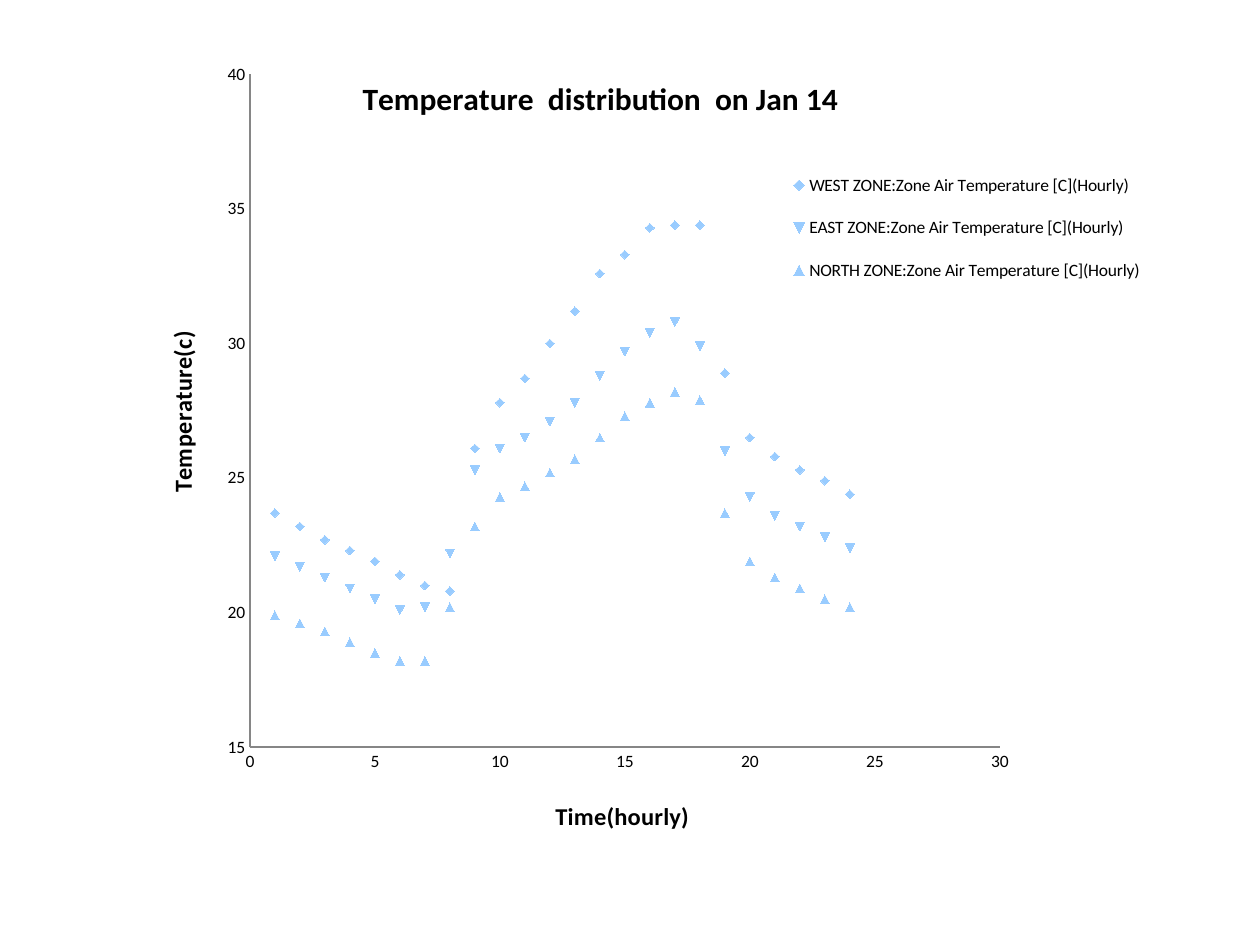
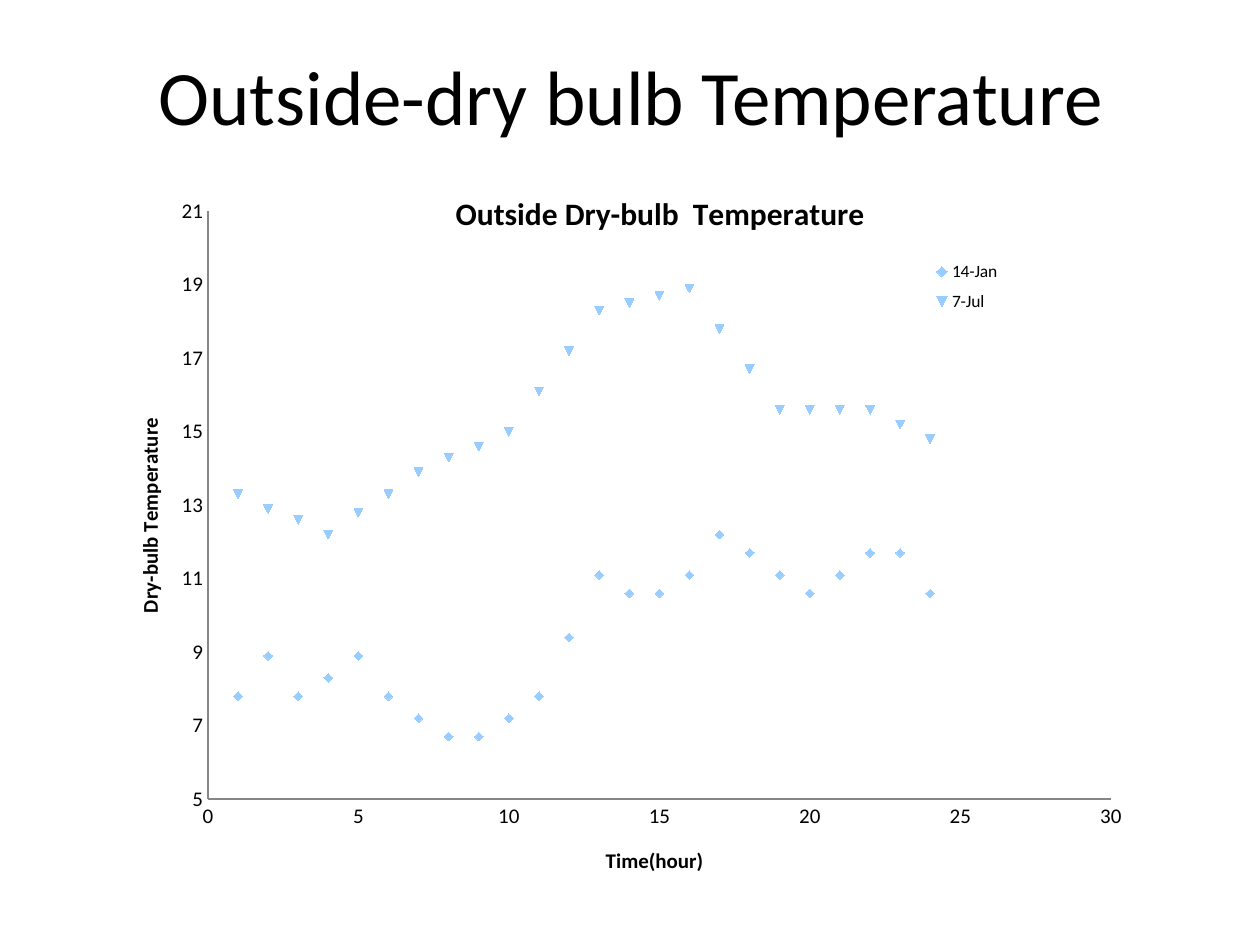
"""Two slides of hourly temperature scatter charts."""
from dataclasses import dataclass

from lxml.etree import SubElement
from pptx import Presentation
from pptx.chart.axis import ValueAxis
from pptx.chart.data import XyChartData
from pptx.dml.color import RGBColor
from pptx.enum.chart import XL_CHART_TYPE, XL_LEGEND_POSITION, XL_TICK_MARK
from pptx.enum.text import MSO_ANCHOR, PP_ALIGN
from pptx.oxml.ns import qn
from pptx.slide import Slide
from pptx.util import Emu, Pt


@dataclass(frozen=True)
class Theme:
    """Colours, font and type sizes in points."""
    font: str = "Calibri"
    ink: RGBColor = RGBColor(0, 0, 0)
    axis: RGBColor = RGBColor(0x86, 0x86, 0x86)
    mark: RGBColor = RGBColor(0x99, 0xCC, 0xFF)
    head: int = 44
    title: int = 18
    base: int = 10


@dataclass(frozen=True)
class Box:
    """A place on the slide, in pixels."""
    x: int
    y: int
    w: int = 0
    h: int = 0

    def emu(self) -> tuple[Emu, ...]:
        """Give left, top, width and height as EMU."""
        return tuple(Emu(round(n * SCALE)) for n in (self.x, self.y, self.w, self.h))


@dataclass(frozen=True)
class Label:
    """A heading inside a chart, with its top left corner."""
    text: str
    size: int
    at: Box


@dataclass(frozen=True)
class Scale:
    """One axis: its range, step, tick text size and heading."""
    low: int
    high: int
    step: int
    size: int
    label: Label


@dataclass(frozen=True)
class Plot:
    """One scatter chart with hourly values per series."""
    at: Box
    inner: Box
    key: Box
    title: Label
    hours: Scale
    temps: Scale
    rows: dict[str, list[float]]


SCALE = 914400 / 126
THEME = Theme()

ZONES = Plot(
    at=Box(33, 39, 1123, 800),
    inner=Box(250, 75, 750, 682),
    key=Box(789, 154, 356, 153),
    title=Label("Temperature  distribution  on Jan 14", THEME.title, Box(357, 72)),
    hours=Scale(0, 30, 5, 10, Label("Time(hourly)", 14, Box(551, 805))),
    temps=Scale(15, 40, 5, 10, Label("Temperature(c)", 14, Box(161, 333))),
    rows={
        "WEST ZONE:Zone Air Temperature [C](Hourly)": [
            23.7, 23.2, 22.7, 22.3, 21.9, 21.4, 21, 20.8, 26.1, 27.8, 28.7, 30,
            31.2, 32.6, 33.3, 34.3, 34.4, 34.4, 28.9, 26.5, 25.8, 25.3, 24.9, 24.4],
        "EAST ZONE:Zone Air Temperature [C](Hourly)": [
            22.1, 21.7, 21.3, 20.9, 20.5, 20.1, 20.2, 22.2, 25.3, 26.1, 26.5, 27.1,
            27.8, 28.8, 29.7, 30.4, 30.8, 29.9, 26, 24.3, 23.6, 23.2, 22.8, 22.4],
        "NORTH ZONE:Zone Air Temperature [C](Hourly)": [
            19.9, 19.6, 19.3, 18.9, 18.5, 18.2, 18.2, 20.2, 23.2, 24.3, 24.7, 25.2,
            25.7, 26.5, 27.3, 27.8, 28.2, 27.9, 23.7, 21.9, 21.3, 20.9, 20.5, 20.2],
    },
)

OUTSIDE = Plot(
    at=Box(115, 155, 1081, 725),
    inner=Box(208, 212, 903, 594),
    key=Box(922, 253, 90, 70),
    title=Label("Outside Dry-bulb  Temperature", THEME.title, Box(450, 186)),
    hours=Scale(0, 30, 5, 12, Label("Time(hour)", 12, Box(602, 850))),
    temps=Scale(5, 21, 2, 12, Label("Dry-bulb Temperature", 12, Box(132, 419))),
    rows={
        "14-Jan": [
            7.8, 8.9, 7.8, 8.3, 8.9, 7.8, 7.2, 6.7, 6.7, 7.2, 7.8, 9.4,
            11.1, 10.6, 10.6, 11.1, 12.2, 11.7, 11.1, 10.6, 11.1, 11.7, 11.7, 10.6],
        "7-Jul": [
            13.3, 12.9, 12.6, 12.2, 12.8, 13.3, 13.9, 14.3, 14.6, 15, 16.1, 17.2,
            18.3, 18.5, 18.7, 18.9, 17.8, 16.7, 15.6, 15.6, 15.6, 15.6, 15.2, 14.8],
    },
)


def style(font, size: int, bold: bool = False) -> None:
    """Set the shared typeface and ink at one size."""
    font.name, font.size, font.bold = THEME.font, Pt(size), bold
    font.color.rgb = THEME.ink


def place(node, index: int, box: Box, frame: Box, inner: bool = False) -> None:
    """Pin a chart part to a pixel box, as shares of the chart frame."""
    for old in node.findall(qn("c:layout")):
        node.remove(old)
    layout = node.makeelement(qn("c:layout"))
    node.insert(index, layout)
    manual = SubElement(layout, qn("c:manualLayout"))
    if inner:
        SubElement(manual, qn("c:layoutTarget"), val="inner")
    for mode in ("xMode", "yMode"):
        SubElement(manual, qn(f"c:{mode}"), val="edge")
    parts = {"x": (box.x - frame.x) / frame.w, "y": (box.y - frame.y) / frame.h}
    if box.w:
        parts |= {"w": box.w / frame.w, "h": box.h / frame.h}
    for name, share in parts.items():
        SubElement(manual, qn(f"c:{name}"), val=f"{share:.4f}")


def write(title, label: Label, frame: Box, turn: bool = False) -> None:
    """Fill a chart or axis title and pin it."""
    text = title.text_frame
    run = text.paragraphs[0].add_run()
    run.text = label.text
    style(run.font, label.size, True)
    if turn:
        text._txBody.bodyPr.set("rot", "-5400000")
        text._txBody.bodyPr.set("vert", "horz")
    place(title._element, 1, label.at, frame)


def set_axis(axis: ValueAxis, scale: Scale, frame: Box, turn: bool = False) -> None:
    """Give an axis its range, line, tick text and heading."""
    axis.minimum_scale, axis.maximum_scale = scale.low, scale.high
    axis.major_unit = scale.step
    axis.has_major_gridlines = False
    axis.major_tick_mark = axis.minor_tick_mark = XL_TICK_MARK.NONE
    axis.format.line.color.rgb = THEME.axis
    axis.format.line.width = Pt(0.75)
    style(axis.tick_labels.font, scale.size)
    write(axis.axis_title, scale.label, frame, turn)


def add_plot(slide: Slide, plot: Plot) -> None:
    """Draw one scatter chart with markers only."""
    data = XyChartData()
    for name, temps in plot.rows.items():
        row = data.add_series(name)
        for hour, temp in enumerate(temps, 1):
            row.add_data_point(hour, temp)
    chart = slide.shapes.add_chart(XL_CHART_TYPE.XY_SCATTER, *plot.at.emu(), data).chart
    style(chart.font, THEME.base)
    write(chart.chart_title, plot.title, plot.at)
    set_axis(chart.category_axis, plot.hours, plot.at)
    set_axis(chart.value_axis, plot.temps, plot.at, True)
    place(chart._chartSpace.chart.plotArea, 0, plot.inner, plot.at, True)

    chart.has_legend = True
    key = chart.legend
    key.position = XL_LEGEND_POSITION.RIGHT
    key.include_in_layout = False
    style(key.font, THEME.base)
    place(key._element, 1, plot.key, plot.at)

    chart.plots[0].vary_by_categories = False
    for row in chart.plots[0].series:
        row.format.line.fill.background()
        row.smooth = False
        look = row.marker.format
        look.fill.solid()
        look.fill.fore_color.rgb = THEME.mark
        look.line.color.rgb = THEME.mark


def add_head(slide: Slide, text: str, box: Box) -> None:
    """Fill and move the title placeholder."""
    head = slide.shapes.title
    head.left, head.top, head.width, head.height = box.emu()
    frame = head.text_frame
    frame.vertical_anchor = MSO_ANCHOR.MIDDLE
    para = frame.paragraphs[0]
    para.alignment = PP_ALIGN.CENTER
    run = para.add_run()
    run.text = text
    style(run.font, THEME.head)


def main() -> None:
    """Build and save both slides."""
    deck = Presentation()
    deck.slide_width, deck.slide_height = Box(0, 0, 1260, 945).emu()[2:]
    only, blank = deck.slide_layouts[5], deck.slide_layouts[6]
    add_plot(deck.slides.add_slide(blank), ZONES)
    slide = deck.slides.add_slide(only)
    add_head(slide, "Outside-dry bulb Temperature", Box(64, 16, 1134, 158))
    add_plot(slide, OUTSIDE)
    deck.save("out.pptx")


main()
